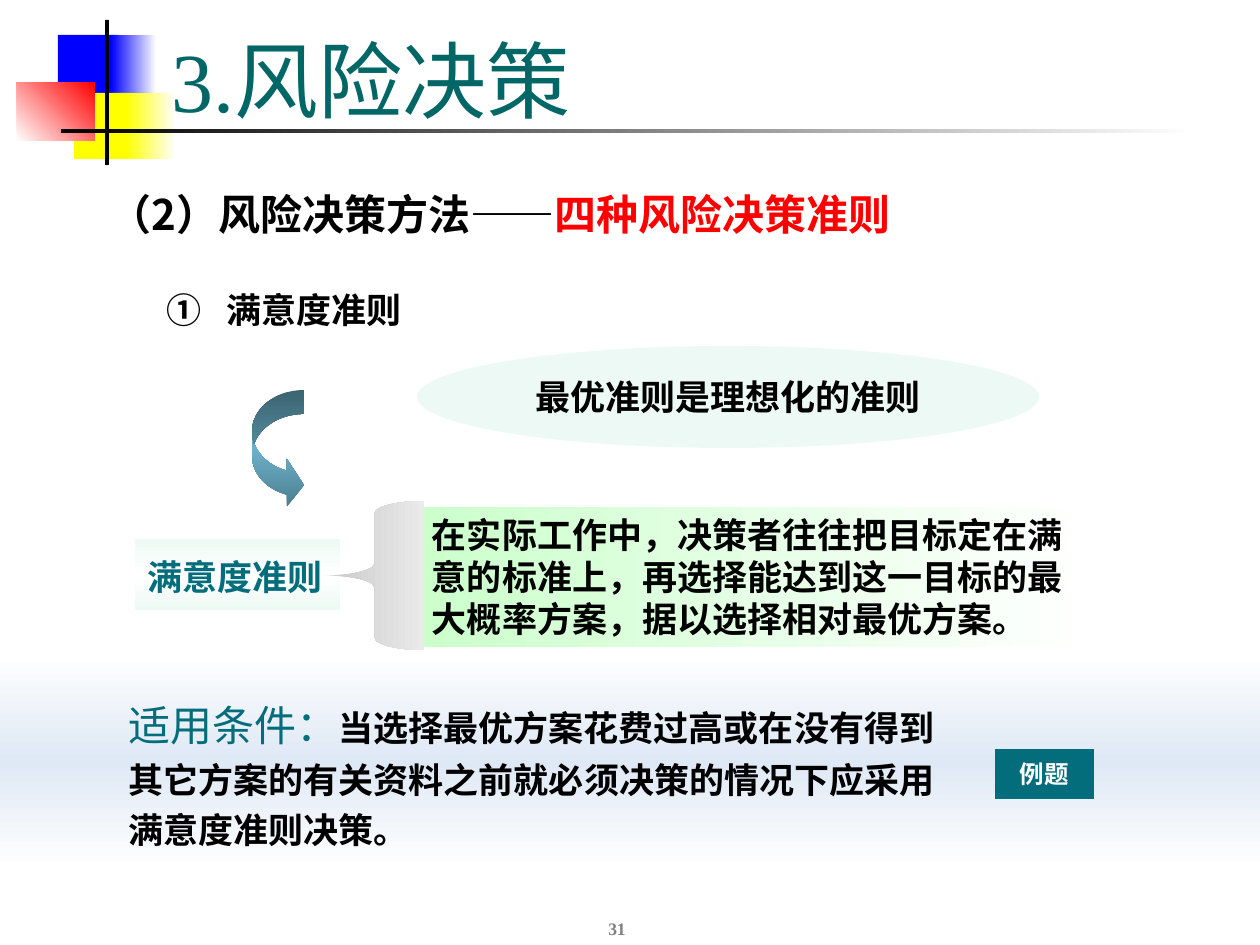
from lxml.etree import SubElement
from pptx import Presentation
from pptx.dml.color import RGBColor
from pptx.enum.shapes import MSO_SHAPE
from pptx.enum.text import MSO_ANCHOR, PP_ALIGN
from pptx.oxml.ns import qn
from pptx.util import Emu, Pt

PX = 914400 / 126  # EMU in one px
SANS, SERIF, ARIAL = "Noto Sans CJK SC", "Times New Roman", "Arial"

BLACK = RGBColor(0x00, 0x00, 0x00)
WHITE = RGBColor(0xFF, 0xFF, 0xFF)
GRAY = RGBColor(0x80, 0x80, 0x80)
BLUE = RGBColor(0x00, 0x00, 0xFF)
YELLOW = RGBColor(0xFF, 0xFF, 0x00)
RED = RGBColor(0xFF, 0x00, 0x00)
GREEN = RGBColor(0xCC, 0xFF, 0xCC)
MINT = RGBColor(0xED, 0xF9, 0xF4)
PALE_BLUE = RGBColor(0xDF, 0xE8, 0xF5)
TEAL = RGBColor(0x03, 0x6D, 0x7B)
TITLE_TEAL = RGBColor(0x00, 0x66, 0x66)
ARROW_DARK = RGBColor(0x4B, 0x7C, 0x8D)
ARROW_LIGHT = RGBColor(0x6C, 0xB1, 0xCA)
BRACE_DARK = RGBColor(0xC9, 0xC9, 0xC9)
BRACE_LIGHT = RGBColor(0xEA, 0xEA, 0xEA)

deck = Presentation()
deck.slide_width, deck.slide_height = Emu(round(1260 * PX)), Emu(round(945 * PX))
page = deck.slides.add_slide(deck.slide_layouts[6])


def add_block(kind, bounds, colors, angle=0):
    """Add a borderless shape; several colors make an evenly spaced gradient."""
    block = page.shapes.add_shape(kind, *(Emu(round(v * PX)) for v in bounds))
    block.shadow.inherit = False
    block.line.fill.background()
    if len(colors) == 1:
        block.fill.solid()
        block.fill.fore_color.rgb = colors[0]
        return block
    block.fill.gradient()
    gradient = block._element.spPr.find(qn("a:gradFill"))
    for child in list(gradient):
        gradient.remove(child)
    stops = SubElement(gradient, qn("a:gsLst"))
    for i, color in enumerate(colors):
        stop = SubElement(stops, qn("a:gs"), pos=str(100000 * i // (len(colors) - 1)))
        SubElement(stop, qn("a:srgbClr"), val=str(color))
    SubElement(gradient, qn("a:lin"), ang=str(angle * 60000), scaled="0")
    return block


def write(box, spans, size, bold=True, align=PP_ALIGN.LEFT, anchor=MSO_ANCHOR.MIDDLE,
          spacing=1.0, tab=None):
    """Fill a box with one paragraph of (text, font, color) spans."""
    frame = box.text_frame
    frame.word_wrap = True
    frame.vertical_anchor = anchor
    para = frame.paragraphs[0]
    para.alignment = align
    para.line_spacing = spacing
    if tab:
        tabs = SubElement(para._p.get_or_add_pPr(), qn("a:tabLst"))
        SubElement(tabs, qn("a:tab"), pos=str(round(tab * PX)), algn="l")
    para.font.size, para.font.bold = Pt(size), bold
    for text, font, color in spans:
        span = para.add_run()
        span.text = text
        span.font.name = font
        span.font.color.rgb = color
        SubElement(span.font._element, qn("a:ea"), typeface=SANS)
    return para


def_rect = MSO_SHAPE.RECTANGLE

# Corner ornament and title rule
for bounds, colors, angle in [
    ((58, 35, 60, 66), [BLUE], 0),
    ((111, 35, 45, 66), [BLUE, WHITE], 0),
    ((74, 93, 58, 66), [YELLOW], 0),
    ((126, 93, 50, 66), [YELLOW, WHITE], 0),
    ((17, 82, 78, 59), [WHITE, RED], 315),
    ((105, 20, 4, 145), [BLACK], 0),
    ((61, 129, 1134, 4), [BLACK, WHITE], 0),
]:
    add_block(def_rect, bounds, colors, angle)

# Band behind the conditions
add_block(def_rect, (0, 654, 1260, 214), [WHITE, PALE_BLUE, WHITE], 90)

# Example button
button = add_block(MSO_SHAPE.ACTION_BUTTON_CUSTOM, (995, 749, 99, 50), [TEAL])
write(button, [("例题", SANS, WHITE)], 14, align=PP_ALIGN.CENTER)

# Explanation, criterion label, arrow, brace and ideal
explanation = add_block(def_rect, (417, 507, 677, 140), [GREEN, WHITE])
write(explanation, [("在实际工作中，决策者往往把目标定在满意的标准上，再选择能达到这一目标的"
                     "最大概率方案，据以选择相对最优方案。", SANS, BLACK)], 20)
frame = explanation.text_frame
frame.margin_left = Emu(round(15 * PX))
frame.margin_top = frame.margin_right = frame.margin_bottom = 0

label = add_block(def_rect, (135, 539, 205, 71), [MINT, WHITE, MINT], 90)
write(label, [("满意度准则", SANS, TEAL)], 20, spacing=1.1)

arrow = add_block(MSO_SHAPE.CURVED_RIGHT_ARROW, (252, 390, 52, 119),
                  [ARROW_DARK, ARROW_LIGHT, ARROW_DARK], 90)
for i, value in enumerate((0.46, 0.92, 0.33)):
    arrow.adjustments[i] = value

brace = add_block(MSO_SHAPE.LEFT_BRACE, (325, 501, 99, 149), [BRACE_DARK, BRACE_LIGHT])
brace.adjustments[0], brace.adjustments[1] = 0.125, 0.5

ideal = add_block(MSO_SHAPE.OVAL, (417, 346, 622, 102), [MINT])
write(ideal, [("最优准则是理想化的准则", SANS, BLACK)], 20, align=PP_ALIGN.CENTER)

# Text boxes: title, headings, conditions, page number
for bounds, spans, size, options in [
    ((159, 20, 1074, 116), [("3.风险决策", SERIF, TITLE_TEAL)], 48,
     {"bold": False, "anchor": MSO_ANCHOR.BOTTOM}),
    ((97, 161, 949, 81), [("（2）风险决策方法——", SANS, BLACK), ("四种", ARIAL, RED),
                          ("风险决策准则", SANS, RED)], 24,
     {"align": PP_ALIGN.JUSTIFY, "spacing": 1.5}),
    ((154, 275, 745, 49), [("①\t满意度准则", ARIAL, BLACK)], 20,
     {"spacing": 1.5, "tab": 60}),
    ((116, 683, 847, 174), [("适用条件：", SERIF, TEAL),
                            ("当选择最优方案花费过高或在没有得到其它方案的有关资料之前就必须决策的"
                             "情况下应采用满意度准则决策。", SANS, BLACK)], 20,
     {"spacing": 1.2}),
    ((486, 882, 262, 63), [("31", SERIF, GRAY)], 10,
     {"align": PP_ALIGN.CENTER, "anchor": MSO_ANCHOR.BOTTOM}),
]:
    box = page.shapes.add_textbox(*(Emu(round(v * PX)) for v in bounds))
    para = write(box, spans, size, **options)
    if spans[0][0] == "适用条件：":
        para.runs[0].font.size, para.runs[0].font.bold = Pt(24), False

deck.save("out.pptx")
